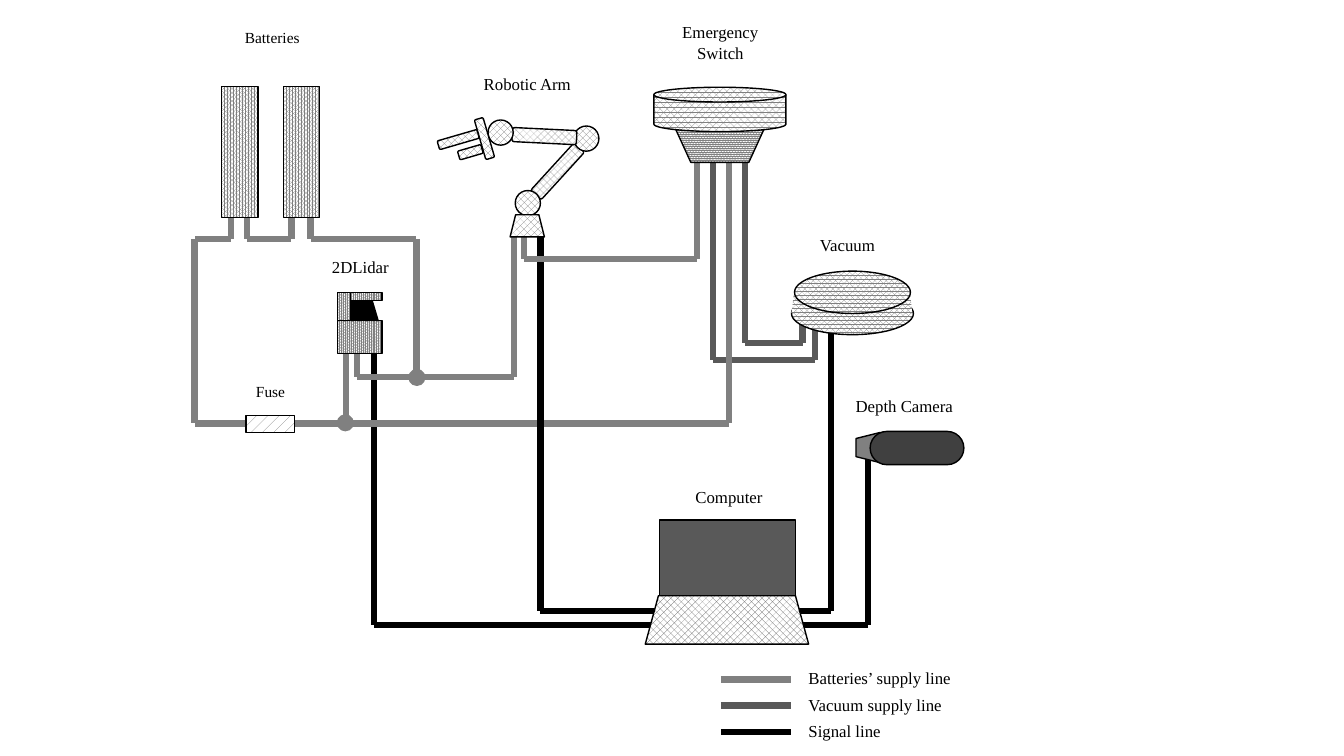
from itertools import pairwise

from lxml.etree import SubElement
from pptx import Presentation
from pptx.dml.color import RGBColor
from pptx.enum.dml import MSO_PATTERN as Pattern
from pptx.enum.shapes import MSO_CONNECTOR, MSO_SHAPE as Shape
from pptx.enum.text import MSO_AUTO_SIZE, PP_ALIGN
from pptx.oxml.ns import qn
from pptx.util import Inches, Pt

BLACK = RGBColor(0x00, 0x00, 0x00)
CHARCOAL = RGBColor(0x40, 0x40, 0x40)
DARK = RGBColor(0x59, 0x59, 0x59)
GRAY = RGBColor(0x80, 0x80, 0x80)
WHITE = RGBColor(0xFF, 0xFF, 0xFF)
FONT = "Times New Roman"

deck = Presentation()
deck.slide_width = Inches(13.33)
deck.slide_height = Inches(7.5)
page = deck.slides.add_slide(deck.slide_layouts[6])


def add_label(text, left, top, width, height=0.3, size=12, align=PP_ALIGN.CENTER):
    box = page.shapes.add_textbox(Inches(left), Inches(top), Inches(width), Inches(height))
    frame = box.text_frame
    frame.word_wrap = False
    frame.auto_size = MSO_AUTO_SIZE.SHAPE_TO_FIT_TEXT
    for index, line in enumerate(text.split("\n")):
        para = frame.paragraphs[0] if index == 0 else frame.add_paragraph()
        para.alignment = align
        span = para.add_run()
        span.text = line
        span.font.name = FONT
        span.font.size = Pt(size)
        span.font.color.rgb = BLACK


def add_part(kind, left, top, width, height, color, pattern=None, turn=0, adjust=None, outline=True):
    part = page.shapes.add_shape(kind, Inches(left), Inches(top), Inches(width), Inches(height))
    part.shadow.inherit = False
    part.rotation = turn
    if adjust is not None:
        part.adjustments[0] = adjust
    if pattern is None:
        part.fill.solid()
    else:
        part.fill.patterned()
        part.fill.pattern = pattern
        part.fill.back_color.rgb = WHITE
    part.fill.fore_color.rgb = color
    if outline:
        part.line.color.rgb = BLACK
        part.line.width = Pt(1)
    else:
        part.line.fill.background()


battery_left, battery_right = 2.2, 2.81
battery_top, battery_width, battery_height = 0.86, 0.36, 1.3
supply_y, return_y, battery_y = 4.2, 3.74, 2.37
legend = [("Batteries’ supply line", GRAY, 1.63),
          ("Vacuum supply line", DARK, 1.56),
          ("Signal line", BLACK, 0.93)]
legend_rows = [(6.74 + 0.26 * row, *entry) for row, entry in enumerate(legend)]

wires = [
    (BLACK, [(8.61, 4.44), (8.61, 6.2), (3.71, 6.2), (3.71, 3.5)]),
    (GRAY, [(2.29, 2.16), (2.29, battery_y), (1.93, battery_y), (1.93, supply_y), (2.44, supply_y)]),
    (GRAY, [(2.45, 2.16), (2.45, battery_y), (2.89, battery_y), (2.89, 2.16)]),
    (GRAY, [(3.08, 2.16), (3.08, battery_y), (4.13, battery_y), (4.13, return_y)]),
    (GRAY, [(2.92, supply_y), (7.23, supply_y)]),
    (GRAY, [(3.43, supply_y), (3.43, 3.51)]),
    (GRAY, [(3.54, 3.51), (3.54, return_y), (5.1, return_y), (5.1, 2.35)]),
    (BLACK, [(8.24, 3.17), (8.24, 6.06), (5.36, 6.06), (5.36, 2.35)]),
    (GRAY, [(5.2, 2.35), (5.2, 2.57), (6.91, 2.57), (6.91, 1.62)]),
    (DARK, [(7.07, 1.62), (7.07, 3.57), (8.08, 3.57), (8.08, 3.18)]),
    (DARK, [(7.39, 1.62), (7.39, 3.4), (7.96, 3.4), (7.96, 3.18)]),
    (GRAY, [(7.23, supply_y), (7.23, 1.62)]),
]
wires += [(color, [(7.15, y), (7.85, y)]) for y, _, color, _ in legend_rows]

for color, points in wires:
    for start, end in pairwise(points):
        wire = page.shapes.add_connector(
            MSO_CONNECTOR.STRAIGHT, *(Inches(value) for value in start + end))
        wire.line.color.rgb = color
        wire.line.width = Pt(4.5)
        SubElement(wire.element.spPr, qn("a:effectLst"))

add_part(Shape.RECTANGLE, 2.44, 4.12, 0.48, 0.17, GRAY, Pattern.PERCENT_10)

for left in (battery_right, battery_left):
    add_part(Shape.RECTANGLE, left, battery_top, battery_width, battery_height, GRAY, Pattern.PERCENT_80)

vacuum = Pattern.PERCENT_75
add_part(Shape.OVAL, 7.85, 2.9, 1.21, 0.42, GRAY, vacuum)
add_part(Shape.TRAPEZOID, 7.85, 2.9, 1.2, 0.21, GRAY, vacuum, adjust=0.122, outline=False)
add_part(Shape.OVAL, 7.88, 2.69, 1.15, 0.42, GRAY, vacuum)

add_part(Shape.TRAPEZOID, 8.46, 4.32, 0.3, 0.24, GRAY, turn=270)
add_part(Shape.ROUNDED_RECTANGLE, 8.63, 4.28, 0.93, 0.33, CHARCOAL, turn=180, adjust=0.5)

arm_parts = [
    (Shape.ROUNDED_RECTANGLE, 5.46, 1.38, 0.14, 0.64, 42.4),
    (Shape.OVAL, 5.69, 1.25, 0.25, 0.25, 0),
    (Shape.ROUNDED_RECTANGLE, 5.33, 1.03, 0.14, 0.64, 272.8),
    (Shape.OVAL, 4.84, 1.19, 0.25, 0.25, 0),
    (Shape.OVAL, 5.11, 1.89, 0.25, 0.25, 0),
    (Shape.TRAPEZOID, 5.06, 2.13, 0.34, 0.22, 0),
    (Shape.ROUNDED_RECTANGLE, 4.76, 1.17, 0.09, 0.41, 343.8),
    (Shape.ROUNDED_RECTANGLE, 4.5, 1.18, 0.09, 0.41, 73.8),
    (Shape.ROUNDED_RECTANGLE, 4.62, 1.39, 0.09, 0.24, 73.8),
]
for *geometry, turn in arm_parts:
    add_part(*geometry, GRAY, Pattern.PERCENT_50, turn=turn)

add_part(Shape.FLOWCHART_MANUAL_OPERATION, 6.66, 1.19, 0.96, 0.42, GRAY, Pattern.PERCENT_90)
add_part(Shape.FLOWCHART_DIRECT_ACCESS_STORAGE, 6.92, 0.43, 0.44, 1.31, GRAY, Pattern.PERCENT_70, turn=270)

lidar = Pattern.PERCENT_90
add_part(Shape.RECTANGLE, 3.35, 3.18, 0.44, 0.33, GRAY, lidar)
add_part(Shape.TRAPEZOID, 3.36, 2.98, 0.39, 0.2, BLACK, adjust=0.296)
add_part(Shape.RECTANGLE, 3.35, 2.9, 0.44, 0.08, GRAY, lidar)
add_part(Shape.RECTANGLE, 3.35, 2.9, 0.13, 0.28, GRAY, lidar)

add_part(Shape.TRAPEZOID, 6.4, 5.91, 1.62, 0.48, DARK, Pattern.PERCENT_50, adjust=0.272)
add_part(Shape.RECTANGLE, 6.54, 5.16, 1.35, 0.75, DARK)

for left, top in ((4.05, 3.66), (3.34, 4.11)):
    add_part(Shape.OVAL, left, top, 0.17, 0.17, GRAY, outline=False)

add_label("Batteries", 2.33, 0.23, 0.75, 0.29, size=11, align=PP_ALIGN.LEFT)
add_label("Fuse", 2.44, 3.74, 0.49, 0.29, size=11, align=PP_ALIGN.LEFT)
add_label("Emergency\nSwitch", 6.66, 0.17, 0.97, 0.5)
add_label("Robotic Arm", 4.69, 0.68, 1.08)
add_label("Vacuum", 8.02, 2.28, 0.77)
add_label("2DLidar", 3.19, 2.5, 0.77)
add_label("Depth Camera", 8.38, 3.88, 1.18)
add_label("Computer", 6.79, 4.78, 0.88)
for y, text, _, width in legend_rows:
    add_label(text, 7.92, y - 0.16, width, align=PP_ALIGN.LEFT)

deck.save("out.pptx")
